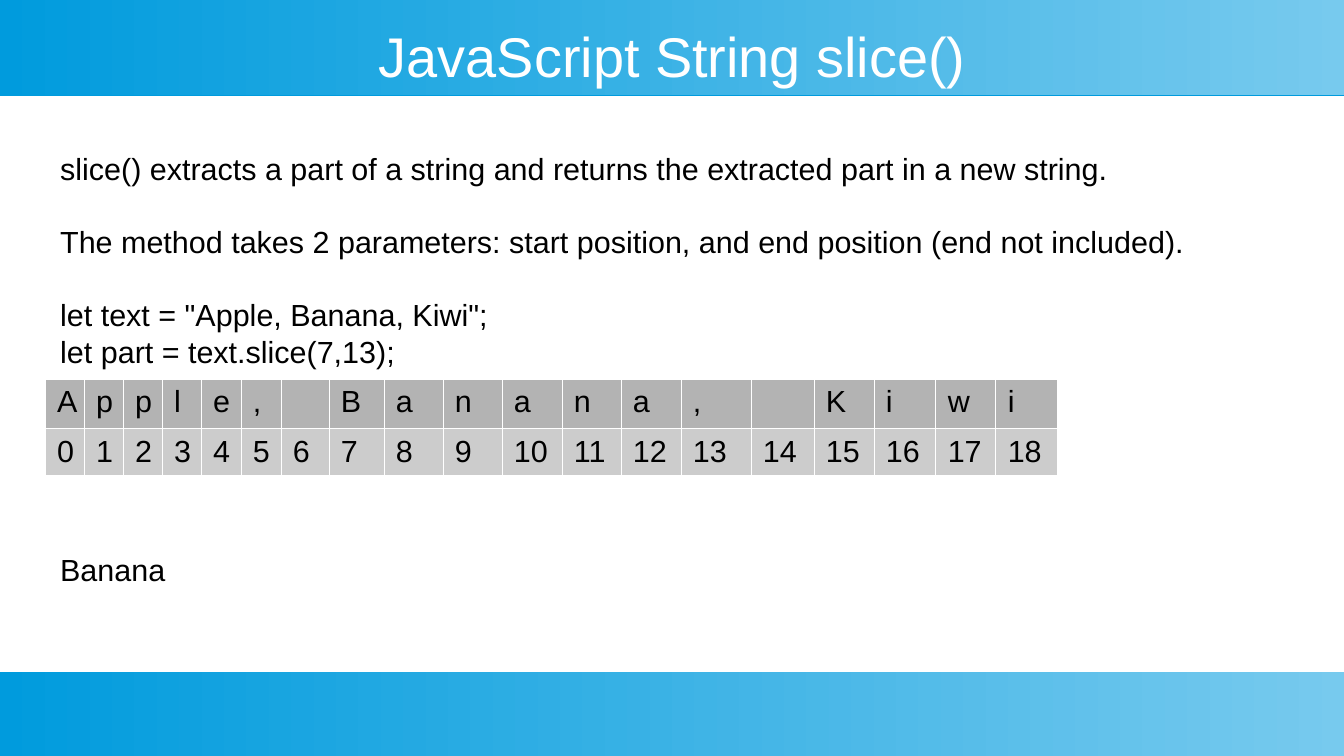
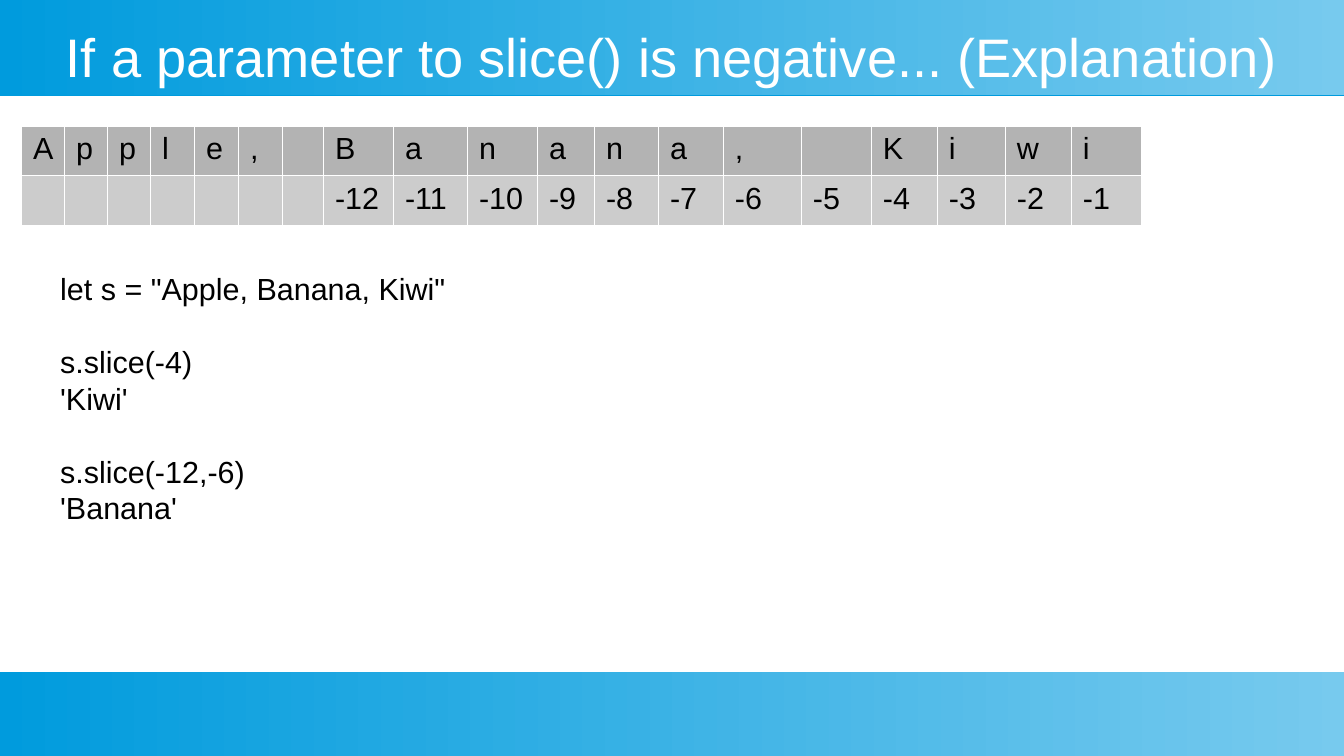
from dataclasses import dataclass

from lxml import etree
from pptx import Presentation
from pptx import util as u
from pptx.dml.color import RGBColor
from pptx.enum import shapes, text
from pptx.oxml import ns

# Shared scale and style
EMU_PER_PX = 7495
SLIDE_WIDTH, SLIDE_HEIGHT = 1344, 756
FONT = "Arial"
BLUE, LIGHT_BLUE = "009BDD", "77CAEE"
WHITE, BLACK = "FFFFFF", "000000"
ROW_FILLS = ("B3B3B3", "CCCCCC")
BODY_SIZE = 18
LINE_HEIGHT = 21.5
ROW_HEIGHT = 46
BORDER_WIDTH = 762


@dataclass(frozen=True)
class Box:
    left: int
    top: int
    width: int
    height: int

    def emu(self) -> tuple[int, ...]:
        return tuple(px(n) for n in (self.left, self.top, self.width, self.height))


@dataclass(frozen=True)
class Line:
    text: str
    lines_before: int = 0


@dataclass(frozen=True)
class IndexTable:
    left: int
    top: int
    widths: list[int]
    indexes: list[str]


@dataclass(frozen=True)
class SlideContent:
    title: str
    title_size: int
    body_box: Box
    body: list[Line]
    table: IndexTable


TITLE_BOX = Box(48, 24, 1249, 63)
BANDS = (Box(0, 0, SLIDE_WIDTH, 95), Box(0, 672, SLIDE_WIDTH, 84))
SAMPLE = "Apple, Banana, Kiwi"

SLIDES = [
    SlideContent(
        "JavaScript String slice()", 33, Box(48, 144, 1177, 490),
        [
            Line("slice() extracts a part of a string and returns the extracted part in a new string."),
            Line("The method takes 2 parameters: start position, and end position (end not included).", 1),
            Line(f'let text = "{SAMPLE}";', 1),
            Line("let part = text.slice(7,13);"),
            Line("Banana", 5),
        ],
        IndexTable(
            45, 379,
            [39] * 4 + [40] * 2 + [48, 55, 59, 59, 60, 59, 60, 70, 63, 60, 62, 60, 62],
            [str(n) for n in range(len(SAMPLE))],
        ),
    ),
    SlideContent(
        "If a parameter to slice() is negative... (Explanation)", 32, Box(48, 264, 865, 251),
        [
            Line(f'let s = "{SAMPLE}"'),
            Line("s.slice(-4)", 1),
            Line("'Kiwi'"),
            Line("s.slice(-12,-6)", 1),
            Line("'Banana'"),
        ],
        IndexTable(
            21, 126,
            [43] * 3 + [44] * 3 + [41, 70, 74, 70, 57, 64, 65, 78, 70, 66, 68, 66, 70],
            [""] * 7 + [str(n) for n in range(-12, 0)],
        ),
    ),
]


# Helpers
def px(length: int) -> int:
    return length * EMU_PER_PX


def colour(value: str) -> RGBColor:
    return RGBColor.from_string(value)


def add_xml(parent, tag: str, **attributes: str):
    return etree.SubElement(parent, ns.qn(tag), attributes)


def place(shape, box: Box) -> None:
    shape.left, shape.top, shape.width, shape.height = box.emu()


def format_runs(paragraph, size: int, value: str) -> None:
    for run in paragraph.runs:
        run.font.name = FONT
        run.font.size = u.Pt(size)
        run.font.color.rgb = colour(value)


# Bands shared through the layout
def add_bands(layout, slide) -> None:
    for index, box in enumerate(BANDS):
        band = slide.shapes.add_shape(shapes.MSO_SHAPE.RECTANGLE, *box.emu())
        band.name = f"Band {index + 1}"
        band.fill.gradient()
        band.fill.gradient_angle = 0
        for stop, value in zip(band.fill.gradient_stops, (BLUE, LIGHT_BLUE)):
            stop.color.rgb = colour(value)
        band.line.fill.background()
        band.shadow.inherit = False
        effects = band.element.spPr.find(ns.qn("a:effectLst"))
        shadow = add_xml(effects, "a:outerShdw", dist=str(u.Pt(0.9)), dir="5400000", rotWithShape="0")
        add_xml(shadow, "a:srgbClr", val=BLUE)
        band.element.nvSpPr.cNvPr.set("id", str(100 + index))
        layout.shapes.element.insert(2 + index, band.element)


# Title and body placeholders
def fill_title(slide, content: SlideContent) -> None:
    title = slide.shapes.title
    place(title, TITLE_BOX)
    frame = title.text_frame
    frame.text = content.title
    frame.word_wrap = True
    frame.auto_size = text.MSO_AUTO_SIZE.SHAPE_TO_FIT_TEXT
    frame.vertical_anchor = text.MSO_ANCHOR.MIDDLE
    frame.margin_left = frame.margin_right = frame.margin_top = frame.margin_bottom = 0
    paragraph = frame.paragraphs[0]
    paragraph.alignment = text.PP_ALIGN.CENTER
    format_runs(paragraph, content.title_size, WHITE)


def fill_body(slide, content: SlideContent) -> None:
    body = slide.placeholders[1]
    place(body, content.body_box)
    frame = body.text_frame
    frame.text = "\n".join(line.text for line in content.body)
    frame.word_wrap = True
    frame.auto_size = text.MSO_AUTO_SIZE.NONE
    for paragraph, line in zip(frame.paragraphs, content.body):
        paragraph.space_before = u.Pt(line.lines_before * LINE_HEIGHT)
        properties = paragraph._p.get_or_add_pPr()
        properties.set("marL", "0")
        properties.set("indent", "0")
        add_xml(properties, "a:buNone")
        format_runs(paragraph, BODY_SIZE, BLACK)


# Table of characters and their positions
def add_borders(cell) -> None:
    properties = cell._tc.get_or_add_tcPr()
    for index, side in enumerate(("lnL", "lnR", "lnT", "lnB")):
        border = add_xml(properties, f"a:{side}", w=str(BORDER_WIDTH))
        add_xml(add_xml(border, "a:solidFill"), "a:srgbClr", val=WHITE)
        properties.insert(index, border)


def add_index_table(slide, layout: IndexTable) -> None:
    rows = (list(SAMPLE), layout.indexes)
    box = Box(layout.left, layout.top, sum(layout.widths), ROW_HEIGHT * len(rows))
    table = slide.shapes.add_table(len(rows), len(layout.widths), *box.emu()).table
    table.first_row = table.horz_banding = False
    for column, width in zip(table.columns, layout.widths):
        column.width = px(width)
    for row_index, (values, fill) in enumerate(zip(rows, ROW_FILLS)):
        table.rows[row_index].height = px(ROW_HEIGHT)
        for column_index, value in enumerate(values):
            cell = table.cell(row_index, column_index)
            cell.text_frame.text = value.strip()
            cell.fill.solid()
            cell.fill.fore_color.rgb = colour(fill)
            add_borders(cell)
            format_runs(cell.text_frame.paragraphs[0], BODY_SIZE, BLACK)


def main() -> None:
    presentation = Presentation()
    presentation.slide_width = px(SLIDE_WIDTH)
    presentation.slide_height = px(SLIDE_HEIGHT)
    layout = presentation.slide_layouts[1]
    for index, content in enumerate(SLIDES):
        slide = presentation.slides.add_slide(layout)
        if index == 0:
            add_bands(layout, slide)
        fill_title(slide, content)
        fill_body(slide, content)
        add_index_table(slide, content.table)
    presentation.save("out.pptx")


if __name__ == "__main__":
    main()
